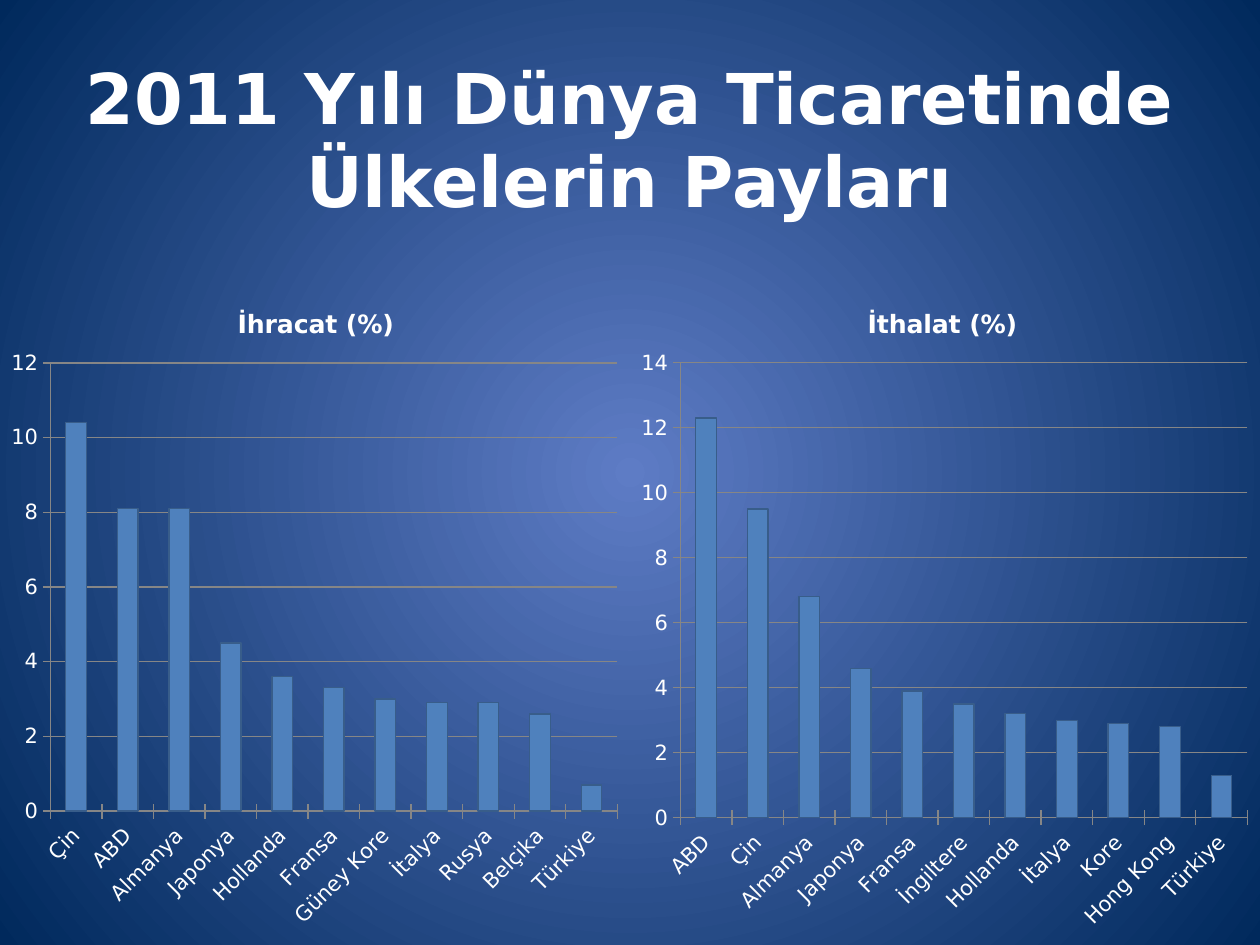
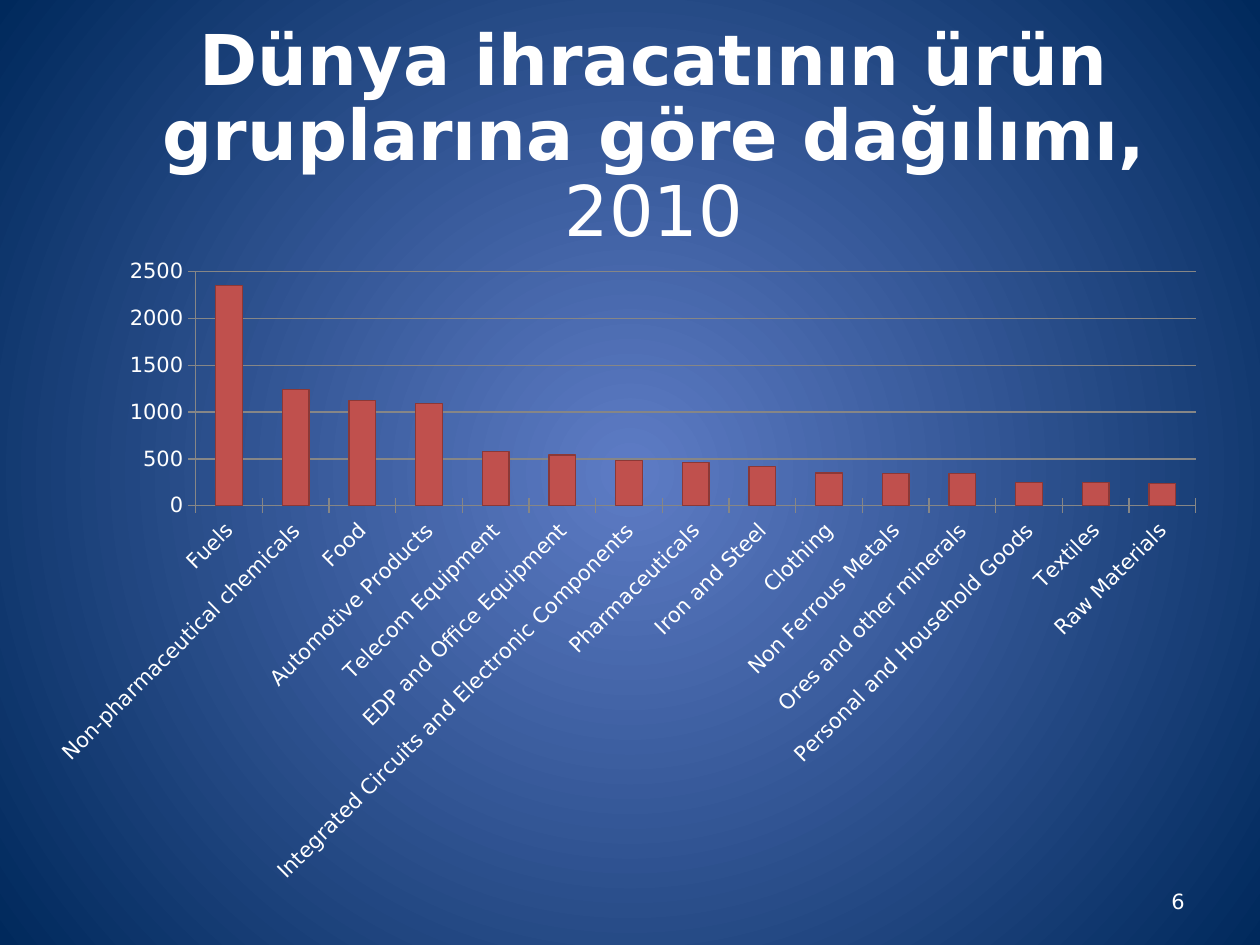
import pptx
import pptx.util
import pptx.chart.data
import pptx.dml.color
import pptx.enum.chart
import pptx.enum.text
import pptx.oxml
import pptx.oxml.ns

Inches, Pt = pptx.util.Inches, pptx.util.Pt
RGBColor = pptx.dml.color.RGBColor
qn = pptx.oxml.ns.qn
PP_ALIGN = pptx.enum.text.PP_ALIGN

WHITE = RGBColor(0xFF, 0xFF, 0xFF)
GLOW = RGBColor(0x5E, 0x7C, 0xC5)
NAVY = RGBColor(0x00, 0x29, 0x5C)
GRID = RGBColor(0x86, 0x86, 0x86)
BLUE = RGBColor(0x4F, 0x81, 0xBD)
BLUE_EDGE = RGBColor(0x38, 0x5D, 0x8A)
RED = RGBColor(0xC0, 0x50, 0x4D)
RED_EDGE = RGBColor(0x8C, 0x38, 0x36)

FONT = "DejaVu Sans"
TITLE = {"size": Pt(40), "bold": True}
TITLE_LIGHT = {"size": Pt(40), "bold": False}
LABEL = {"size": Pt(12), "bold": False}
CHART_TITLE = {"size": Pt(14.4), "bold": True}

EXPORT_SHARES = {
    "Çin": 10.4, "ABD": 8.1, "Almanya": 8.1, "Japonya": 4.5, "Hollanda": 3.6,
    "Fransa": 3.3, "Güney Kore": 3, "İtalya": 2.9, "Rusya": 2.9,
    "Belçika": 2.6, "Türkiye": 0.7,
}
IMPORT_SHARES = {
    "ABD": 12.3, "Çin": 9.5, "Almanya": 6.8, "Japonya": 4.6, "Fransa": 3.9,
    "İngiltere": 3.5, "Hollanda": 3.2, "İtalya": 3, "Kore": 2.9,
    "Hong Kong": 2.8, "Türkiye": 1.3,
}
PRODUCT_EXPORTS = {
    "Fuels": 2350, "Non-pharmaceutical chemicals": 1240, "Food": 1120,
    "Automotive Products": 1090, "Telecom Equipment": 580,
    "EDP and Office Equipment": 540,
    "Integrated Circuits and Electronic Components": 480,
    "Pharmaceuticals": 460, "Iron and Steel": 420, "Clothing": 350,
    "Non Ferrous Metals": 340, "Ores and other minerals": 340,
    "Personal and Household Goods": 250, "Textiles": 250, "Raw Materials": 240,
}


def style_font(font, formats):
    """Apply the shared typeface and colour plus the given formats."""
    for name, value in {"name": FONT, **formats}.items():
        setattr(font, name, value)
    font.color.rgb = WHITE


def add_slide(prs):
    """Add a blank slide with the radial blue background."""
    s = prs.slides.add_slide(prs.slide_layouts[6])
    fill = s.background.fill
    fill.gradient()
    for stop, color, position in zip(fill.gradient_stops, (GLOW, NAVY), (0, 1)):
        stop.color.rgb, stop.position = color, position
    grad = next(s.element.iter(qn("a:gradFill")))
    for lin in grad.findall(qn("a:lin")):
        grad.remove(lin)
    circle = pptx.oxml.parse_xml(
        f'<a:path {pptx.oxml.ns.nsdecls("a")} path="circle">'
        '<a:fillToRect l="50000" t="50000" r="50000" b="50000"/></a:path>')
    grad.find(qn("a:gsLst")).addnext(circle)
    return s


def add_text(s, box, runs, align=PP_ALIGN.CENTER, spacing=1.0):
    """Add a vertically centred line of formatted runs in the box."""
    tf = s.shapes.add_textbox(*map(Inches, box)).text_frame
    tf.word_wrap = True
    tf.vertical_anchor = pptx.enum.text.MSO_ANCHOR.MIDDLE
    p = tf.paragraphs[0]
    p.alignment, p.line_spacing = align, spacing
    for text, formats in runs:
        r = p.add_run()
        r.text = text
        style_font(r.font, formats)


def set_layout(parent, index, **fractions):
    """Place a chart part by fractions of the chart area."""
    for old in parent.findall(qn("c:layout")):
        parent.remove(old)
    modes = '<c:layoutTarget val="inner"/>' if "w" in fractions else ""
    modes += '<c:xMode val="edge"/><c:yMode val="edge"/>'
    sizes = "".join(f'<c:{key} val="{value}"/>' for key, value in fractions.items())
    parent.insert(index, pptx.oxml.parse_xml(
        f'<c:layout {pptx.oxml.ns.nsdecls("c")}><c:manualLayout>'
        f'{modes}{sizes}</c:manualLayout></c:layout>'))


def style_axis(axis):
    """Give an axis grey lines, crossing ticks and white labels."""
    axis.major_tick_mark = pptx.enum.chart.XL_TICK_MARK.CROSS
    axis.minor_tick_mark = pptx.enum.chart.XL_TICK_MARK.NONE
    axis.format.line.color.rgb = GRID
    axis.format.line.width = Pt(0.75)
    style_font(axis.tick_labels.font, LABEL)


def add_columns(s, box, name, values, top, plot, colors, titled=True, fmt="General"):
    """Add a column chart with slanted category labels in the box."""
    data = pptx.chart.data.CategoryChartData(number_format=fmt)
    data.categories = list(values)
    data.add_series(name, list(values.values()))
    chart = s.shapes.add_chart(
        pptx.enum.chart.XL_CHART_TYPE.COLUMN_CLUSTERED,
        *map(Inches, box), data).chart
    style_font(chart.font, LABEL)
    chart.has_legend = False
    chart.has_title = titled
    if titled:
        title = chart.chart_title
        title.text_frame.text = name
        style_font(title.text_frame.paragraphs[0].runs[0].font, CHART_TITLE)
        title.include_in_layout = False
        set_layout(title._element, 1, x=0.37, y=0.04)

    style_axis(chart.category_axis)
    chart.category_axis.tick_labels.font._element.getparent().getparent().getparent().find(
        qn("a:bodyPr")).set("rot", "-2700000")
    axis = chart.value_axis
    style_axis(axis)
    axis.minimum_scale, (axis.maximum_scale, axis.major_unit) = 0, top
    axis.tick_labels.number_format = fmt
    axis.tick_labels.number_format_is_linked = False
    axis.has_major_gridlines = True
    axis.major_gridlines.format.line.color.rgb = GRID
    axis.major_gridlines.format.line.width = Pt(0.75)

    bars = chart.plots[0]
    bars.gap_width, bars.vary_by_categories = 150, False
    look = bars.series[0].format
    look.fill.solid()
    look.fill.fore_color.rgb, look.line.color.rgb = colors
    look.line.width = Pt(0.75)
    set_layout(next(chart._chartSpace.iter(qn("c:plotArea"))), 0,
               **dict(zip("xywh", plot)))


def trade_shares_slide(prs):
    """Build the slide that sets export and import shares side by side."""
    s = add_slide(prs)
    add_text(s, (0.55, 0.47, 8.89, 1.25),
             [("2011 Yılı Dünya Ticaretinde Ülkelerin Payları", TITLE)])
    panels = [("İhracat (%)", EXPORT_SHARES, 12, 0.67),
              ("İthalat (%)", IMPORT_SHARES, 14, 0.68)]
    for i, (name, values, top, height) in enumerate(panels):
        add_columns(s, (5 * i, 2.19, 5, 5.31), name, values, (top, 2),
                    (0.08, 0.13, 0.9, height), (BLUE, BLUE_EDGE))


def product_groups_slide(prs):
    """Build the slide on world exports by product group."""
    s = add_slide(prs)
    add_text(s, (7.17, 6.95, 2.33, 0.4), [("6", LABEL)], PP_ALIGN.RIGHT)
    add_text(s, (0.94, 0.47, 8.5, 1.25),
             [("Dünya ihracatının ürün gruplarına göre dağılımı, ", TITLE),
              ("2010", TITLE_LIGHT)], spacing=0.9)
    add_columns(s, (0.23, 1.95, 9.45, 5.16), "Series 1", PRODUCT_EXPORTS,
                (2500, 500), (0.14, 0.04, 0.84, 0.36), (RED, RED_EDGE),
                titled=False, fmt="0")


def main():
    """Build and save the presentation."""
    prs = pptx.Presentation()
    prs.slide_width, prs.slide_height = Inches(10), Inches(7.5)
    trade_shares_slide(prs)
    product_groups_slide(prs)
    prs.save("out.pptx")


if __name__ == "__main__":
    main()
